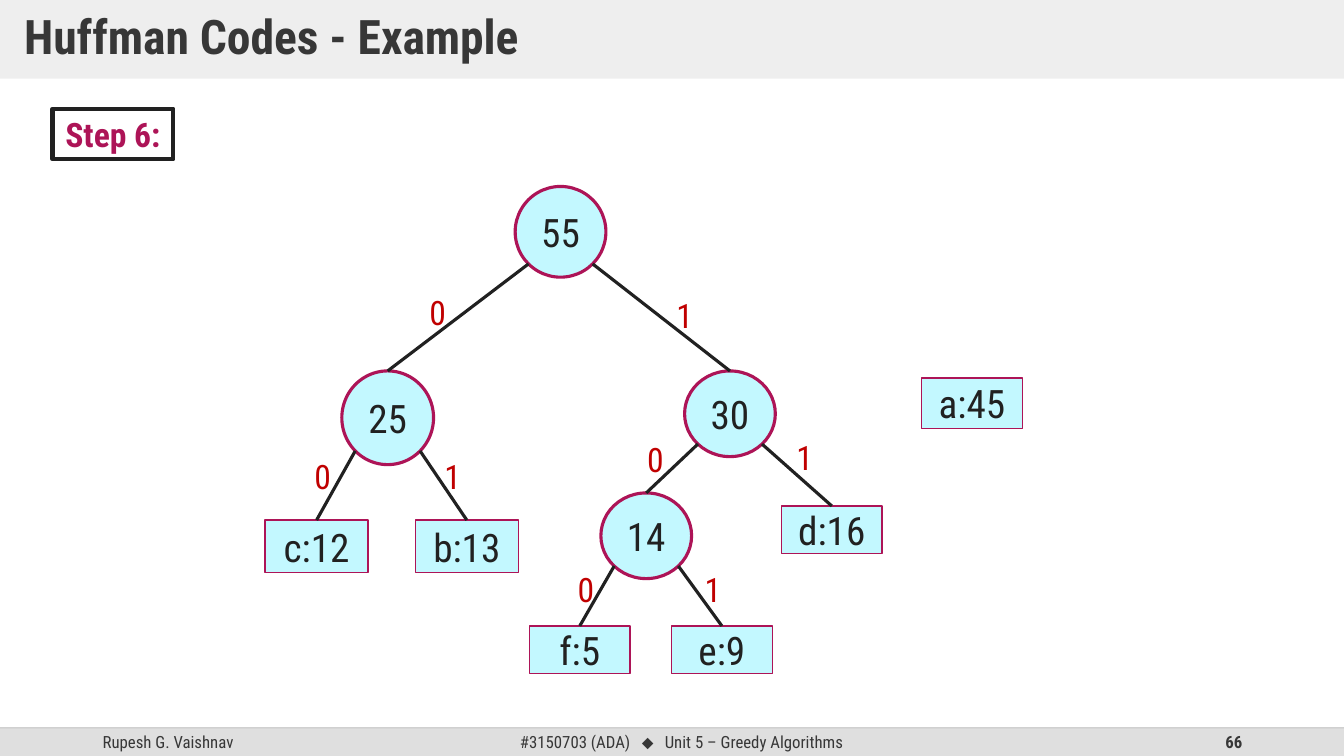
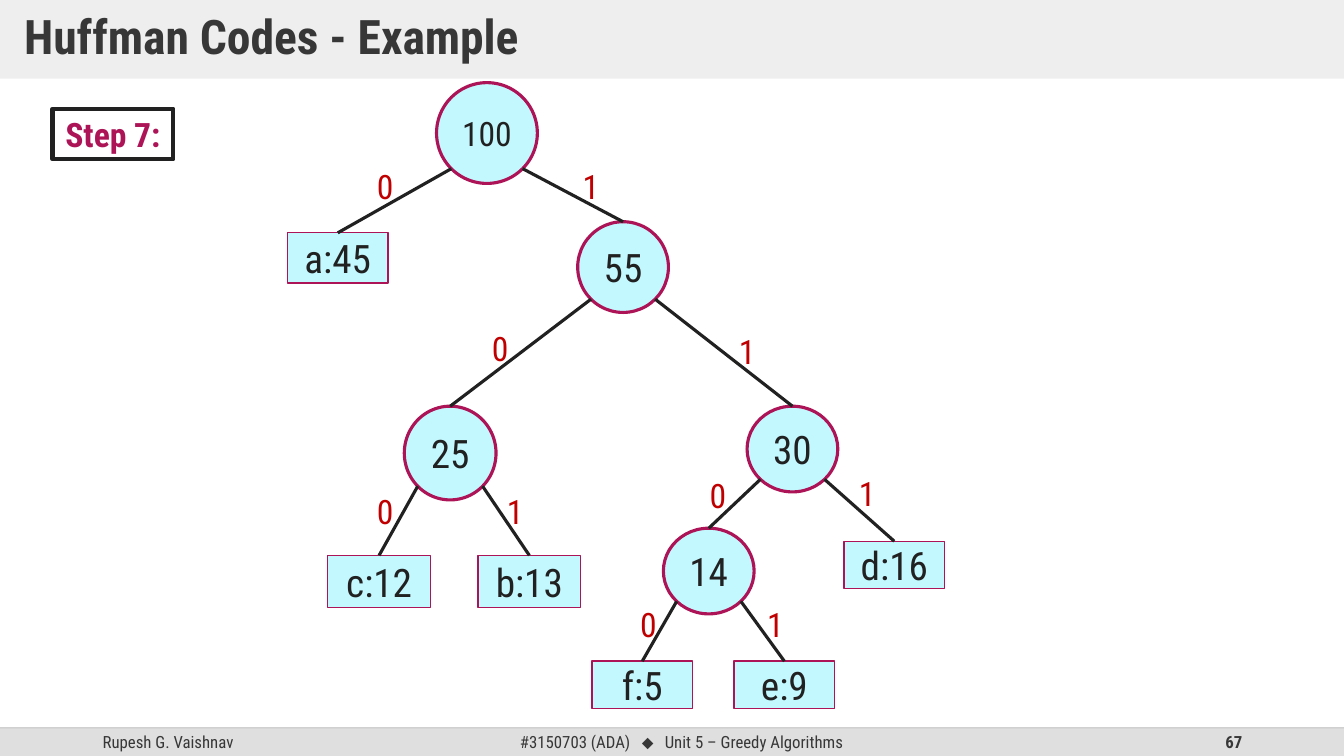
"""Build two slides that show the last steps of a Huffman tree."""
from math import sqrt

from lxml import etree
from pptx import Presentation
from pptx.dml.color import RGBColor
from pptx.enum.shapes import MSO_CONNECTOR, MSO_SHAPE
from pptx.enum.text import MSO_ANCHOR, PP_ALIGN
from pptx.oxml.ns import qn
from pptx.util import Inches, Pt

RECT, OVAL = MSO_SHAPE.RECTANGLE, MSO_SHAPE.OVAL
STRAIGHT = MSO_CONNECTOR.STRAIGHT
MIDDLE, TOP = MSO_ANCHOR.MIDDLE, MSO_ANCHOR.TOP
LEFT, CENTER, RIGHT = PP_ALIGN.LEFT, PP_ALIGN.CENTER, PP_ALIGN.RIGHT

BAND = RGBColor(0xDF, 0xDF, 0xDF)
RULE = RGBColor(0xBF, 0xBF, 0xBF)
GREY = RGBColor(0x37, 0x37, 0x37)
INK = RGBColor(0x21, 0x21, 0x21)
MAGENTA = RGBColor(0xAD, 0x14, 0x57)
CYAN = RGBColor(0xC3, 0xF8, 0xFF)
RED = RGBColor(0xC0, 0x00, 0x00)

FONT = "Roboto Condensed"
SLIDE_W, SLIDE_H = 13.33, 7.5
FOOT_TOP, FOOT_H = 7.22, 0.28

TITLE = {"size": Pt(34), "bold": True}
STEP = {"size": Pt(24), "bold": True}
NODE = {"size": Pt(28)}
ROOT = {"size": Pt(24)}
BIT = {"size": Pt(24)}
FOOT = {"size": Pt(12)}
PAGE = {"size": Pt(12), "bold": True}

CIRCLES = {
    "55": (5.11, 1.85, 0.9, 0.9),
    "25": (3.39, 3.68, 0.91, 0.93),
    "30": (6.79, 3.68, 0.9, 0.85),
    "14": (5.96, 4.89, 0.9, 0.85),
}
LEAVES = {
    "c:12": (2.63, 5.16, 1.02, 0.52),
    "b:13": (4.12, 5.16, 1.02, 0.52),
    "d:16": (7.75, 5.02, 1, 0.47),
    "f:5": (5.25, 6.21, 1, 0.47),
    "e:9": (6.66, 6.21, 1, 0.47),
}
BRANCHES = [
    ("55", "25", "0", 4.16, 2.85),
    ("55", "30", "1", 6.61, 2.88),
    ("25", "c:12", "0", 3.02, 4.47),
    ("25", "b:13", "1", 4.31, 4.47),
    ("30", "14", "0", 6.32, 4.31),
    ("30", "d:16", "1", 7.8, 4.29),
    ("14", "f:5", "0", 5.63, 5.59),
    ("14", "e:9", "1", 6.89, 5.59),
]


def set_alpha(element, percent):
    for color in element.iter(qn("a:srgbClr")):
        etree.SubElement(color, qn("a:alpha")).set("val", str(percent * 1000))


def add_run(p, text, color, fmt, font=FONT):
    r = p.add_run()
    r.text = text
    r.font.name = font
    r.font.color.rgb = color
    for key, value in fmt.items():
        setattr(r.font, key, value)
    return r


def set_frame(tf, anchor, align):
    tf.word_wrap = True
    tf.vertical_anchor = anchor
    p = tf.paragraphs[0]
    p.alignment = align
    return p


def add_box(slide, kind, box, fill=None, line=None, width=1):
    sp = slide.shapes.add_shape(kind, *map(Inches, box))
    sp.shadow.inherit = False
    if fill is None:
        sp.fill.background()
    else:
        sp.fill.solid()
        sp.fill.fore_color.rgb = fill
    if line is None:
        sp.line.fill.background()
    else:
        sp.line.color.rgb = line
        sp.line.width = Pt(width)
    return sp


def add_label(slide, box, anchor=MIDDLE, align=LEFT):
    sp = slide.shapes.add_textbox(*map(Inches, box))
    return set_frame(sp.text_frame, anchor, align)


def add_line(slide, start, end, color, width):
    line = slide.shapes.add_connector(STRAIGHT, *map(Inches, start + end))
    line.line.color.rgb = color
    line.line.width = Pt(width)
    etree.SubElement(line._element.spPr, qn("a:effectLst"))
    return line


def add_node(slide, kind, text, box, fmt=NODE):
    width = 2.25 if kind == OVAL else 1
    sp = add_box(slide, kind, box, CYAN, MAGENTA, width)
    add_run(set_frame(sp.text_frame, MIDDLE, CENTER), text, INK, fmt)
    return sp


def add_branch(slide, parent, child, bit, x, y):
    side = -1 if bit == "0" else 1
    reach = 1 / sqrt(8)
    start_x = parent.left + parent.width * (0.5 + side * reach)
    start_y = parent.top + parent.height * (0.5 + reach)
    start = (start_x / Inches(1), start_y / Inches(1))
    line = add_line(slide, start, start, INK, 2.25)
    line.end_connect(child, 0)
    add_run(add_label(slide, (x, y, 0.4, 0.5), TOP), bit, RED, BIT)


def add_tree(slide, dx=0, dy=0):
    nodes = {}
    for kind, group in ((OVAL, CIRCLES), (RECT, LEAVES)):
        for text, (x, y, w, h) in group.items():
            nodes[text] = add_node(slide, kind, text, (x + dx, y + dy, w, h))
    for parent, child, bit, x, y in BRANCHES:
        add_branch(slide, nodes[parent], nodes[child], bit, x + dx, y + dy)
    return nodes["55"]


def add_footer(slide, page):
    add_box(slide, RECT, (0, FOOT_TOP, SLIDE_W, FOOT_H), BAND)
    p = add_label(slide, (0.92, FOOT_TOP, 3, FOOT_H))
    add_run(p, "Rupesh G. Vaishnav", GREY, FOOT)
    p = add_label(slide, (4.42, FOOT_TOP, 4.68, FOOT_H), align=CENTER)
    add_run(p, "#3150703 (ADA)", GREY, FOOT)
    for text, font in ((" ", FONT), ("⬥", "Arial"), (" ", FONT)):
        r = add_run(p, text, GREY, FOOT, font)
        if text == " ":
            r._r.get_or_add_rPr().set("spc", "530")
    add_run(p, "Unit 5 – Greedy Algorithms", GREY, FOOT)
    p = add_label(slide, (9.42, FOOT_TOP, 3, FOOT_H), align=RIGHT)
    add_run(p, str(page), GREY, PAGE)
    rule = add_line(slide, (0, FOOT_TOP), (SLIDE_W, FOOT_TOP), RULE, 1)
    set_alpha(rule._element.spPr, 70)


def add_title(slide, text):
    sp = add_box(slide, RECT, (0, 0, SLIDE_W, 0.78), BAND)
    set_alpha(sp._element.spPr, 50)
    tf = sp.text_frame
    margins = {"left": 0.24, "top": 0.12, "right": 0.24, "bottom": 0.12}
    for side, value in margins.items():
        setattr(tf, f"margin_{side}", Inches(value))
    p = set_frame(tf, MIDDLE, LEFT)
    p.line_spacing = 0.9
    add_run(p, text, GREY, TITLE)


def add_step_slide(prs, step, page):
    slide = prs.slides.add_slide(prs.slide_layouts[6])
    add_footer(slide, page)
    add_title(slide, "Huffman Codes - Example")
    sp = add_box(slide, RECT, (0.52, 1.08, 1.2, 0.5), line=INK, width=3)
    p = set_frame(sp.text_frame, MIDDLE, CENTER)
    add_run(p, f"Step {step}:", MAGENTA, STEP)
    return slide


def main():
    prs = Presentation()
    prs.slide_width, prs.slide_height = Inches(SLIDE_W), Inches(SLIDE_H)

    slide = add_step_slide(prs, 6, 66)
    add_tree(slide)
    add_node(slide, RECT, "a:45", (9.14, 3.75, 1, 0.5))

    slide = add_step_slide(prs, 7, 67)
    subtree = add_tree(slide, 0.62, 0.35)
    leaf = add_node(slide, RECT, "a:45", (2.85, 2.31, 1, 0.5))
    root = add_node(slide, OVAL, "100", (4.33, 0.82, 1, 1), ROOT)
    add_branch(slide, root, leaf, "0", 3.64, 1.6)
    add_branch(slide, root, subtree, "1", 5.68, 1.6)

    prs.save("out.pptx")


if __name__ == "__main__":
    main()
